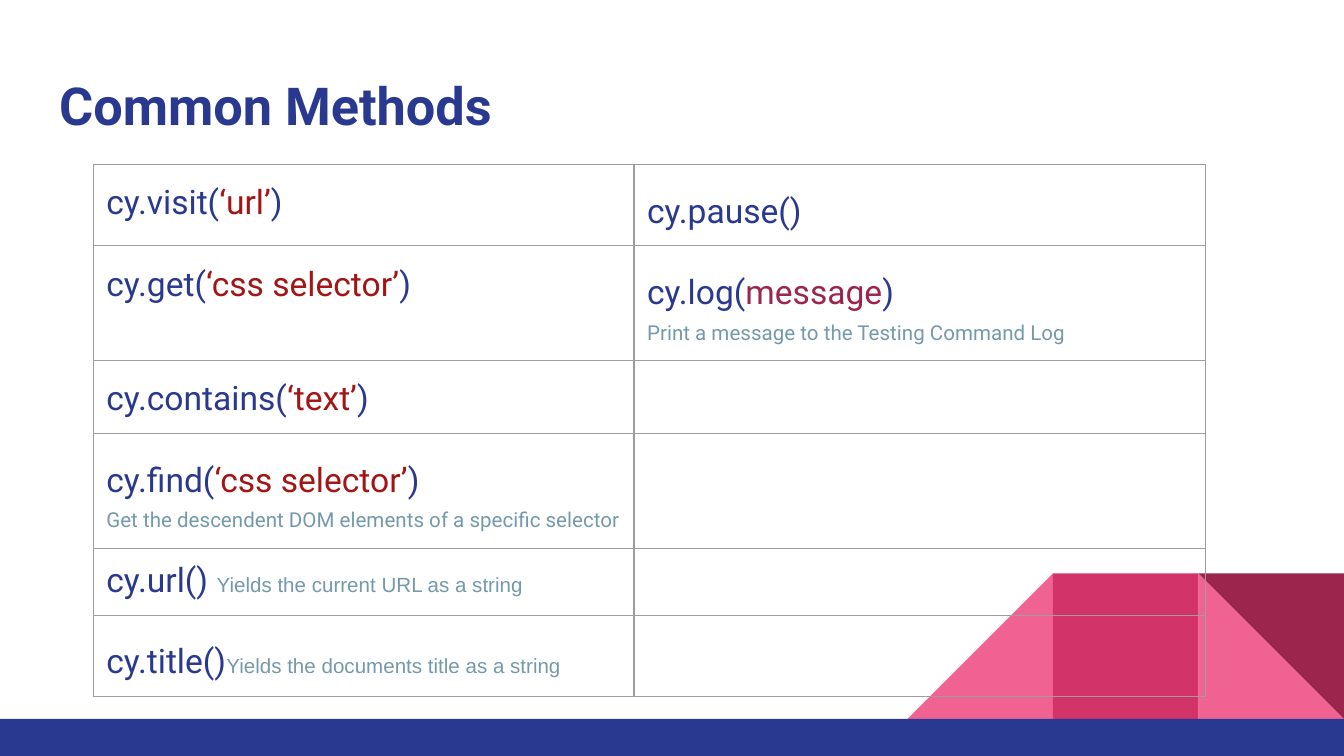
import pptx
import pptx.dml.color
import pptx.enum.shapes
import pptx.oxml
import pptx.oxml.ns
import pptx.util
from dataclasses import dataclass

Cm = pptx.util.Cm
Pt = pptx.util.Pt
SHAPE = pptx.enum.shapes.MSO_SHAPE


@dataclass(frozen=True)
class Theme:
    navy: str = "2A3990"
    pink: str = "F06292"
    rose: str = "D23369"
    wine: str = "9C254D"
    red: str = "A31515"
    note: str = "7499AB"
    grid: str = "9E9E9E"
    font: str = "Roboto"
    note_font: str = "Arial"
    title_size: int = 28
    code_size: int = 18
    note_size: int = 11
    grid_width: float = 0.75


THEME = Theme()
INSET = Cm(0.25)


def rgb(color):
    return pptx.dml.color.RGBColor.from_string(color)


def add_run(paragraph, text, color=THEME.navy, size=THEME.code_size,
            font=THEME.font, bold=False):
    run = paragraph.add_run()
    run.text = text
    run.font.size = Pt(size)
    run.font.name = font
    run.font.bold = bold
    run.font.color.rgb = rgb(color)


def add_block(slide, kind, left, top, width, height, color, rotation=0, flip=False):
    block = slide.shapes.add_shape(kind, Cm(left), Cm(top), Cm(width), Cm(height))
    block.shadow.inherit = False
    block.fill.solid()
    block.fill.fore_color.rgb = rgb(color)
    block.line.fill.background()
    block.rotation = rotation
    if flip:
        block._element.spPr.xfrm.set("flipH", "1")


def add_decoration(slide):
    side, bar_top = 2.75, 13.59
    top = bar_top - side
    right, middle, left = (25.4 - n * side for n in (1, 2, 3))
    triangle = SHAPE.RIGHT_TRIANGLE
    add_block(slide, triangle, right, top, side, side, THEME.pink)
    add_block(slide, triangle, left, top, side, side, THEME.pink, flip=True)
    add_block(slide, SHAPE.RECTANGLE, middle, top, side, side, THEME.rose)
    add_block(slide, triangle, right, top, side, side, THEME.wine, rotation=180)
    add_block(slide, SHAPE.RECTANGLE, 0, bar_top, 25.4, 0.7, THEME.navy)


def add_title(slide, text):
    heading = slide.shapes.add_textbox(Cm(0.87), Cm(1.14), Cm(23.67), Cm(1.68)).text_frame
    heading.word_wrap = True
    heading.margin_left = heading.margin_right = INSET
    heading.margin_top = heading.margin_bottom = INSET
    add_run(heading.paragraphs[0], text, size=THEME.title_size, bold=True)


def style_cell(cell, padding):
    cell.fill.background()
    cell.margin_left = cell.margin_right = INSET
    cell.margin_top = cell.margin_bottom = padding
    properties = cell._tc.get_or_add_tcPr()
    for position, side in enumerate("LRTB"):
        properties.insert(position, pptx.oxml.parse_xml(
            f'<a:ln{side} {pptx.oxml.ns.nsdecls("a")} w="{Pt(THEME.grid_width)}">'
            f'<a:solidFill><a:srgbClr val="{THEME.grid}"/></a:solidFill></a:ln{side}>'))


def fill_cell(cell, method):
    """A method is (line spacing, space after, lines of runs), or None."""
    style_cell(cell, INSET if method else 0)
    if not method:
        return
    spacing, after, lines = method
    for number, runs in enumerate(lines):
        frame = cell.text_frame
        paragraph = frame.add_paragraph() if number else frame.paragraphs[0]
        paragraph.line_spacing = spacing
        paragraph.space_after = Pt(after)
        for text, style in runs:
            add_run(paragraph, text, **style)


def call(name, argument="", color=THEME.red):
    if not argument:
        return [(f"cy.{name}()", {})]
    return [(f"cy.{name}(", {}), (argument, {"color": color}), (")", {})]


def note(text, font=THEME.font):
    return [(text, {"color": THEME.note, "size": THEME.note_size, "font": font})]


def add_methods(slide):
    tight, loose = 1.15, 1.36
    url_call = [("cy.url() ", {})]
    rows = [
        ((tight, 12, [call("visit", "‘url’")]), (loose, 0, [call("pause")])),
        ((tight, 12, [call("get", "‘css selector’")]),
         (loose, 0, [call("log", "message", THEME.wine),
                     note("Print a message to the Testing Command Log")])),
        ((tight, 12, [call("contains", "‘text’")]), None),
        ((loose, 0, [call("find", "‘css selector’"),
                     note("Get the descendent DOM elements of a specific selector")]), None),
        ((1.0, 0, [url_call + note("Yields the current URL as a string",
                                   THEME.note_font)]), None),
        ((loose, 0, [call("title") + note("Yields the documents title as a string",
                                          THEME.note_font)]), None),
    ]
    widths = (10.22, 10.8)
    row_height = 1.07  # minimum; each row grows to fit its text
    methods = slide.shapes.add_table(
        len(rows), len(widths), Cm(1.76), Cm(3.11),
        Cm(sum(widths)), Cm(row_height * len(rows))).table
    methods.first_row = methods.horz_banding = False
    for column, width in zip(methods.columns, widths):
        column.width = Cm(width)
    for row, entries in zip(methods.rows, rows):
        row.height = Cm(row_height)
        for cell, entry in zip(row.cells, entries):
            fill_cell(cell, entry)


def main():
    deck = pptx.Presentation()
    deck.slide_width, deck.slide_height = Cm(25.4), Cm(14.29)
    slide = deck.slides.add_slide(deck.slide_layouts[6])

    # Corner shapes and bottom bar
    add_decoration(slide)

    # Heading and table of methods
    add_title(slide, "Common Methods")
    add_methods(slide)

    deck.save("out.pptx")


if __name__ == "__main__":
    main()
